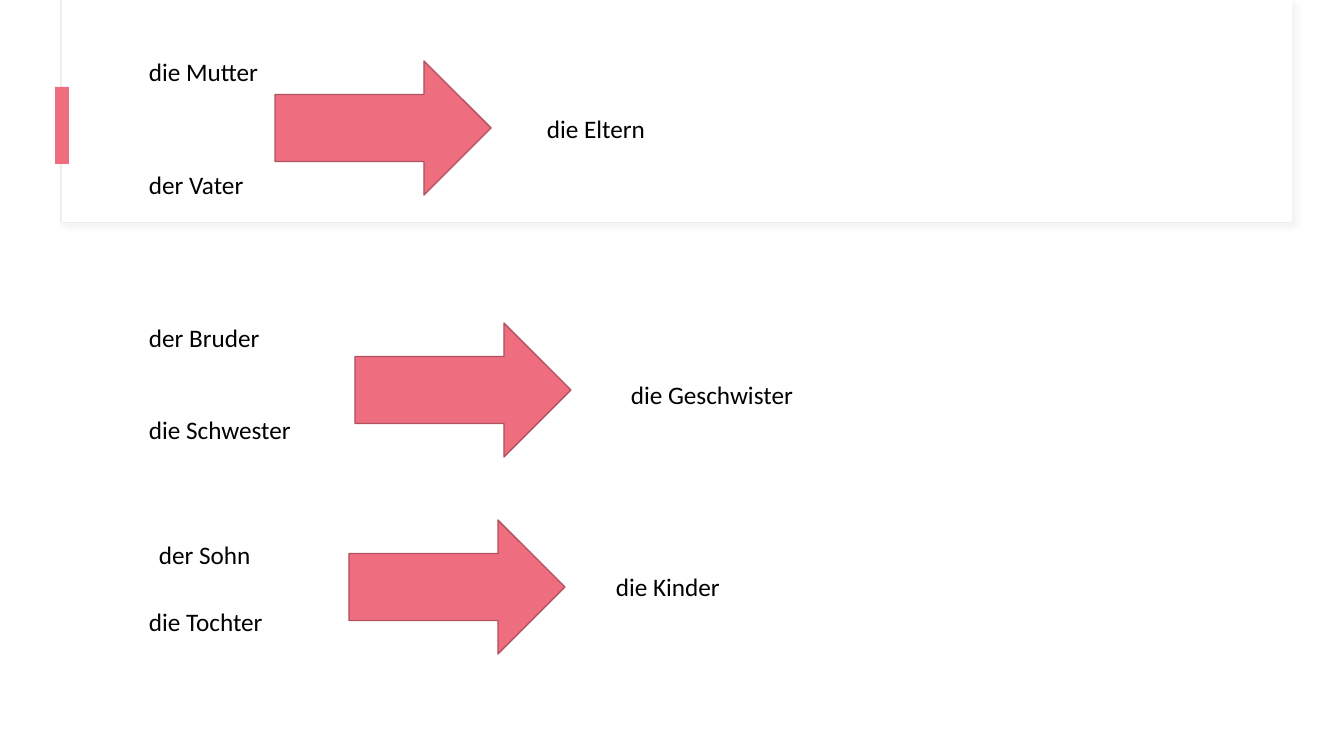
from pptx import Presentation as Deck
from pptx.dml.color import RGBColor as Rgb
from pptx.enum.shapes import MSO_SHAPE as Kind
from pptx.enum.text import MSO_AUTO_SIZE as Fit
from pptx.oxml import parse_xml as to_xml
from pptx.oxml.ns import nsdecls as names
from pptx.util import Pt

SCALE = 914400 / 100.8
HUES = {"pink": "EE6E80", "rose": "B0515F", "sand": "F0EDE4",
        "white": "FFFFFF", "black": "000000", "grey": "D9D9D9"}
FONT = {"name": "Calibri", "size": Pt(18)}
FRAME = {"word_wrap": True, "auto_size": Fit.SHAPE_TO_FIT_TEXT}
TEXT = (190, 40)
ARROW = (216, 134)


def emu(*sizes):
    return [round(size * SCALE) for size in sizes]


def style(item, values):
    for key, value in values.items():
        setattr(item, key, value)


def hue(name):
    return Rgb.from_string(HUES[name])


def draw(slide, kind, box, fill, edge=None, width=1):
    shape = slide.shapes.add_shape(kind, *emu(*box))
    shape.shadow.inherit = False
    shape.fill.solid()
    shape.fill.fore_color.rgb = hue(fill)
    if edge:
        shape.line.color.rgb = hue(edge)
        shape.line.width = Pt(width)
    else:
        shape.line.fill.background()
    return shape


def write(slide, left, top, words):
    frame = slide.shapes.add_textbox(*emu(left, top, *TEXT)).text_frame
    style(frame, FRAME)
    run = frame.paragraphs[0].add_run()
    run.text = words
    style(run.font, FONT)
    run.font.color.rgb = hue("black")


def shade(shape):
    props = shape.element.spPr
    props.remove(props.find("{*}effectLst"))
    props.append(to_xml(
        f'<a:effectLst {names("a")}><a:outerShdw blurRad="{Pt(4)}" '
        f'dist="{Pt(3)}" dir="2700000" algn="tl" rotWithShape="0">'
        f'<a:srgbClr val="{HUES["grey"]}"><a:alpha val="30000"/></a:srgbClr>'
        '</a:outerShdw></a:effectLst>'))


def banner(slide, left, top, width, height):
    box = (left, top, width, height)
    shade(draw(slide, Kind.RECTANGLE, box, "white", "sand", 0.75))
    draw(slide, Kind.RECTANGLE, (left + 1, top, width - 1, height - 1), "white")
    draw(slide, Kind.RECTANGLE, (left - 6, top + 87, 14, 77), "pink")


def family(slide, left, top, pair, arrow, plural):
    for x, y, words in (*pair, plural):
        write(slide, left + x, top + y, words)
    x, y = arrow
    draw(slide, Kind.RIGHT_ARROW, (left + x, top + y, *ARROW), "pink", "rose")


GROUPS = [
    (51, [(0, 0, "die Mutter"), (0, 113, "der Vater")],
     (136, 10), (398, 57, "die Eltern")),
    (317, [(0, 0, "der Bruder"), (0, 92, "die Schwester")],
     (216, 6), (482, 57, "die Geschwister")),
    (534, [(10, 0, "der Sohn"), (0, 67, "die Tochter")],
     (210, -14), (467, 32, "die Kinder")),
]

deck = Deck()
style(deck, dict(zip(("slide_width", "slide_height"), emu(1344, 756))))
slide = deck.slides.add_slide(deck.slide_layouts[6])
banner(slide, 61, 0, 1231, 223)
for top, pair, arrow, plural in GROUPS:
    family(slide, 139, top, pair, arrow, plural)
deck.save("out.pptx")
